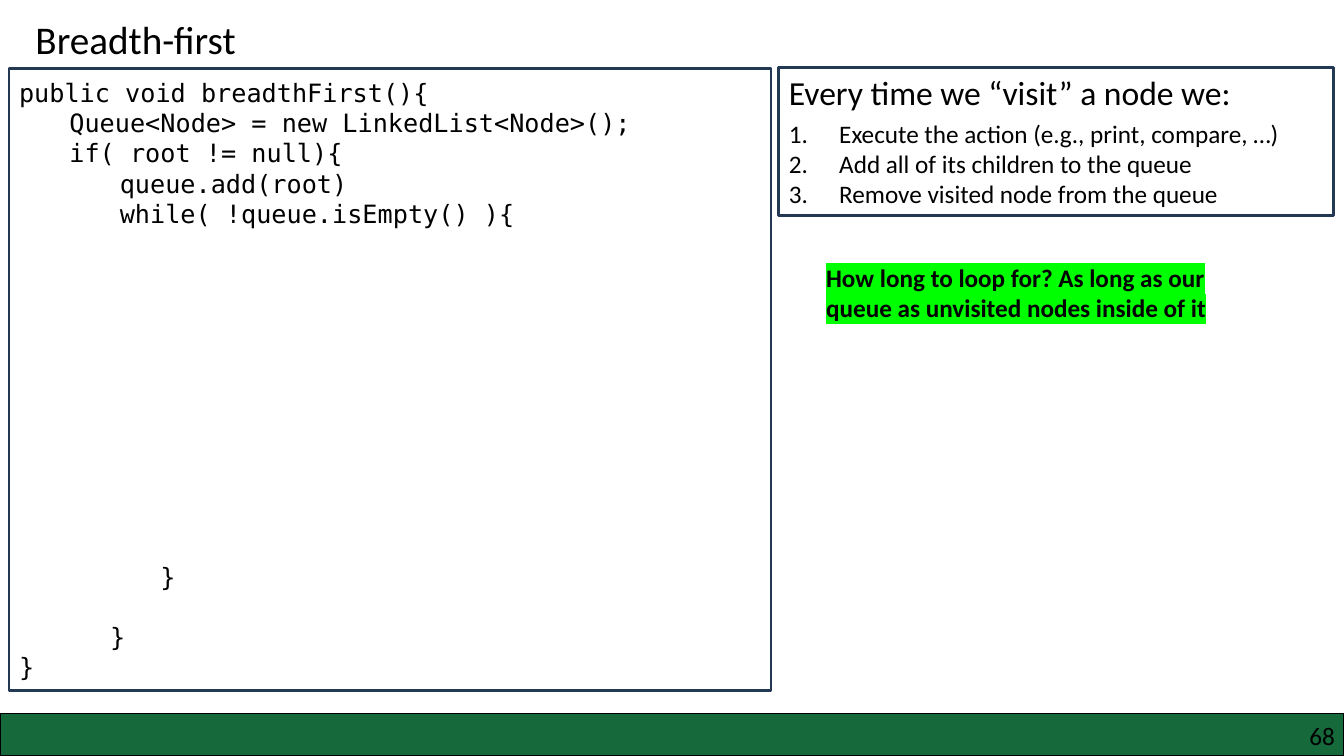
from lxml import etree
from pptx import Presentation
from pptx import util as u
from pptx.dml.color import RGBColor
from pptx.enum import shapes, text
from pptx.oxml.ns import qn

SANS, MONO = "Calibri", "DejaVu Sans Mono"
BLACK, NAVY, GREEN, LIME = "000000", "233953", "15693B", "00FF00"
CODE_LINE = 21.6  # points from one code line to the next

# Each code line with the number of empty lines above it
CODE = [
    ("public void breadthFirst(){", 0),
    ("\tQueue<Node> = new LinkedList<Node>();", 0),
    ("\tif( root != null){", 0),
    ("\t\tqueue.add(root)", 0),
    ("\t\twhile( !queue.isEmpty() ){", 0),
    ("\t      }", 11),
    ("      }", 1),
    ("}", 0),
]
STEPS = [
    "Execute the action (e.g., print, compare, …)",
    "Add all of its children to the queue",
    "Remove visited node from the queue",
]


def colour(hex_string):
    return RGBColor.from_string(hex_string)


def write(p, content, size, font=SANS, bold=False):
    p.text = content
    for r in p.runs:
        r.font.size, r.font.name, r.font.bold = u.Pt(size), font, bold
        r.font.color.rgb = colour(BLACK)


def paragraphs(tf, count):
    return [tf.paragraphs[0]] + [tf.add_paragraph() for _ in range(count - 1)]


def number(p):
    """Turn a paragraph into an automatically numbered item."""
    pPr = p._p.get_or_add_pPr()
    pPr.set("marL", str(u.Cm(1.27)))
    pPr.set("indent", str(-u.Cm(1.27)))
    etree.SubElement(pPr, qn("a:buAutoNum"), type="arabicPeriod")


def highlight(r, hex_string):
    mark = etree.Element(qn("a:highlight"))
    etree.SubElement(mark, qn("a:srgbClr"), val=hex_string)
    r._r.get_or_add_rPr().find(qn("a:solidFill")).addnext(mark)


def rectangle(s, box, line, width, fill=None):
    sp = s.shapes.add_shape(shapes.MSO_SHAPE.RECTANGLE, *map(u.Cm, box))
    sp.shadow.inherit = False
    if fill:
        sp.fill.solid()
        sp.fill.fore_color.rgb = colour(fill)
    else:
        sp.fill.background()
    sp.line.color.rgb, sp.line.width = colour(line), u.Pt(width)
    sp.text_frame.word_wrap = True
    return sp


def text_box(s, box):
    tf = s.shapes.add_textbox(*map(u.Cm, box)).text_frame
    tf.word_wrap = True
    return tf


def add_title(s, box):
    sp = s.shapes.title
    sp.left, sp.top, sp.width, sp.height = map(u.Cm, box)
    tf = sp.text_frame
    write(tf.paragraphs[0], "Breadth-first", 28)
    tf.paragraphs[0].alignment = text.PP_ALIGN.LEFT
    tf.vertical_anchor = text.MSO_ANCHOR.TOP
    tf.auto_size = text.MSO_AUTO_SIZE.NONE
    tf.word_wrap = False


def add_footer(s, box):
    left, top, width, height = box
    rectangle(s, box, BLACK, 1, GREEN)
    tf = text_box(s, (left + width - 8.03, top + 0.18, 7.8, 0.76))
    tf.margin_left = tf.margin_right = tf.margin_top = tf.margin_bottom = 0
    write(tf.paragraphs[0], "68", 18)
    tf.paragraphs[0].alignment = text.PP_ALIGN.RIGHT


def add_code(s, box):
    tf = rectangle(s, box, NAVY, 2).text_frame
    tf.vertical_anchor = text.MSO_ANCHOR.MIDDLE
    for p, (line, gap) in zip(paragraphs(tf, len(CODE)), CODE):
        write(p, line, 18, MONO)
        p.alignment = text.PP_ALIGN.LEFT
        p.line_spacing = u.Pt(CODE_LINE)
        if gap:
            p.space_before = u.Pt(gap * CODE_LINE)


def add_steps(s, box):
    tf = rectangle(s, box, NAVY, 2).text_frame
    tf.vertical_anchor = text.MSO_ANCHOR.TOP
    heading, *items = paragraphs(tf, 1 + len(STEPS))
    write(heading, "Every time we “visit” a node we:", 24)
    heading.alignment = text.PP_ALIGN.LEFT
    for p, step in zip(items, STEPS):
        p.alignment = text.PP_ALIGN.LEFT
        number(p)
        write(p, step, 18)
    items[0].space_before = u.Pt(4)


def add_hint(s, box):
    p = text_box(s, box).paragraphs[0]
    write(p, "How long to loop for? As long as our queue as unvisited nodes inside of it",
          18, bold=True)
    highlight(p.runs[0], LIME)


def main():
    prs = Presentation()
    prs.slide_width, prs.slide_height = u.Cm(33.87), u.Cm(19.05)
    s = prs.slides.add_slide(prs.slide_layouts[5])
    add_footer(s, (0, 17.98, 33.87, 1.07))
    add_title(s, (0.64, 0.25, 5.94, 1.45))
    add_steps(s, (19.63, 1.7, 13.97, 3.73))
    add_code(s, (0.23, 1.73, 19.2, 15.67))
    add_hint(s, (20.57, 6.48, 11.73, 1.8))
    prs.save("out.pptx")


if __name__ == "__main__":
    main()
